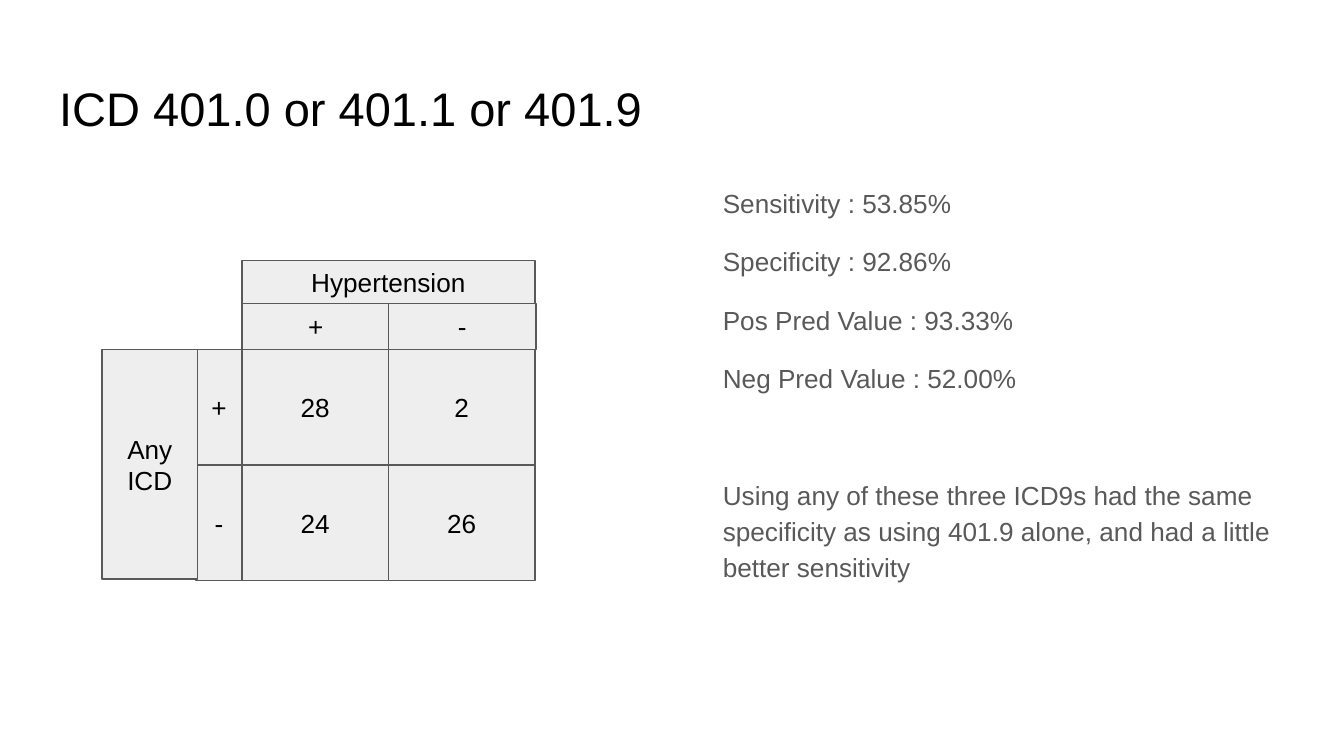
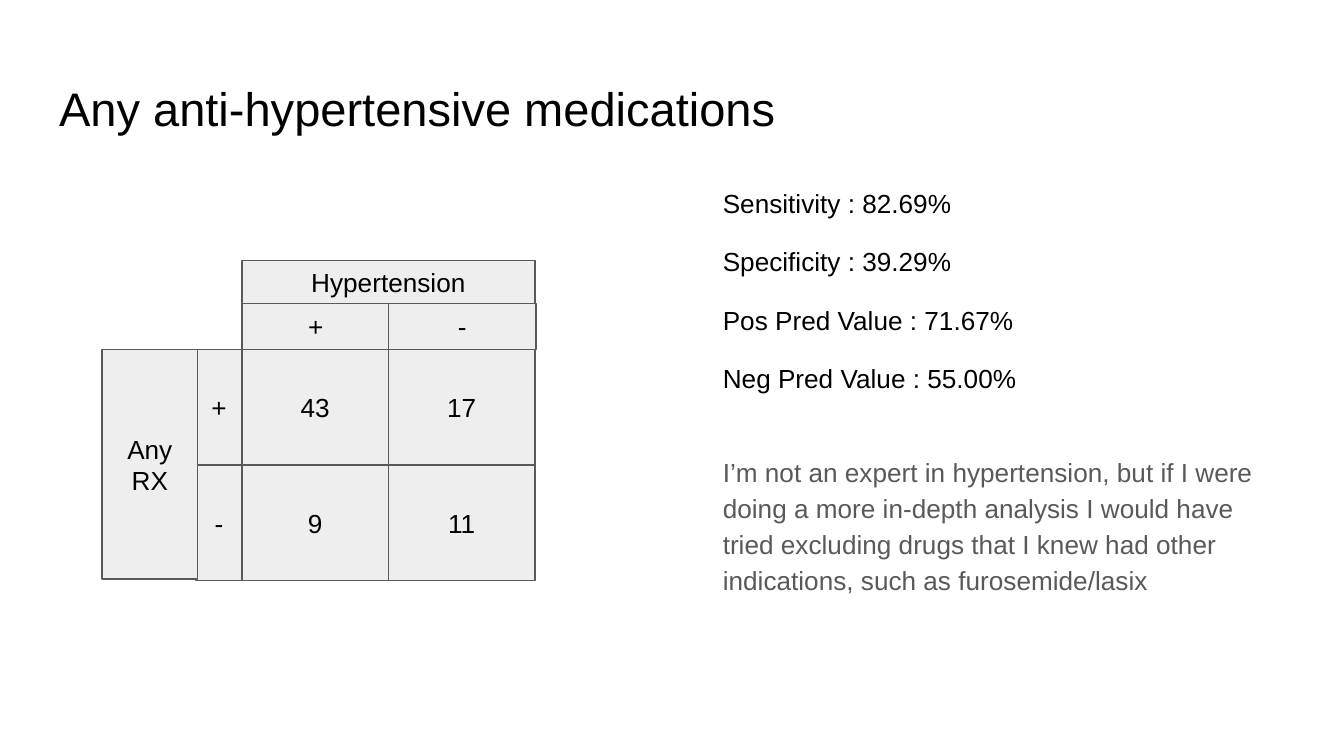
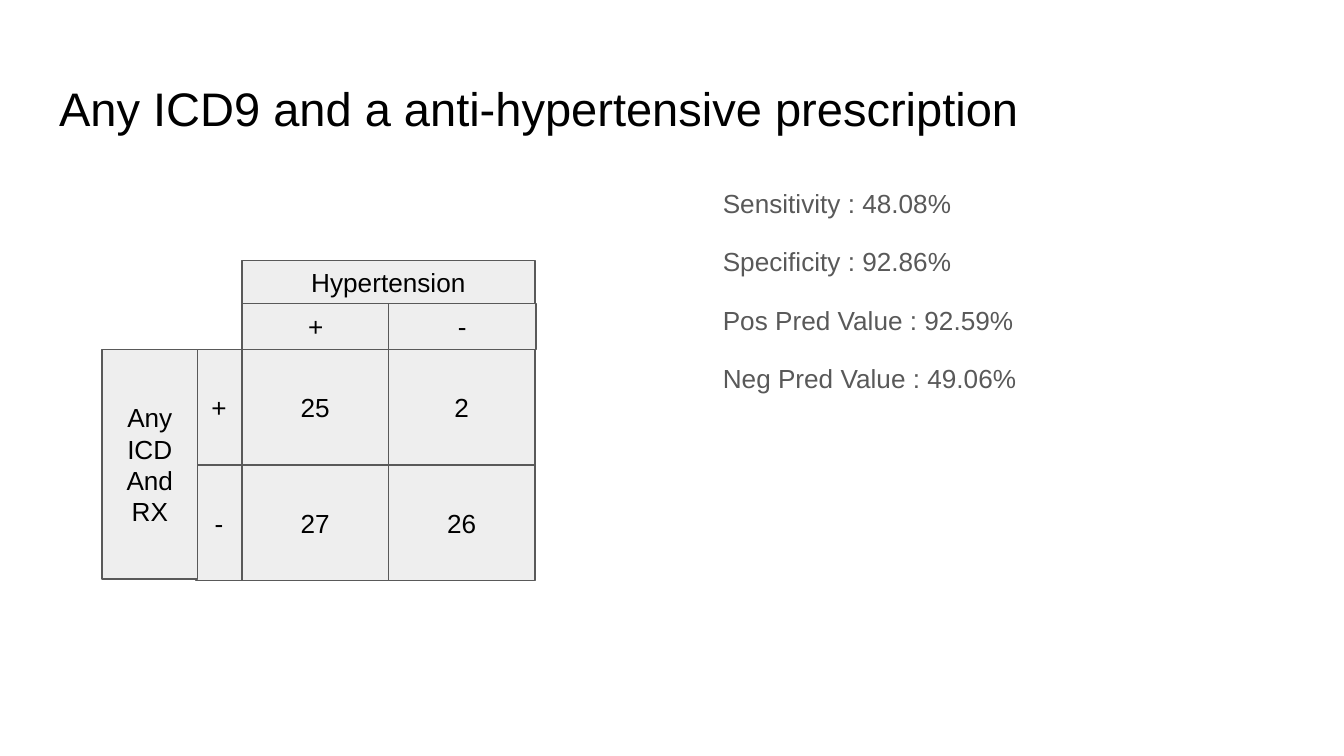
"""Build three slides that rate tests for hypertension with two-by-two grids."""
from dataclasses import dataclass

from pptx import Presentation
from pptx.dml import color
from pptx.enum import shapes, text
from pptx.util import Inches, Pt

BLACK = color.RGBColor(0x00, 0x00, 0x00)
GREY = color.RGBColor(0x59, 0x59, 0x59)
PALE = color.RGBColor(0xEE, 0xEE, 0xEE)
FONT = "Arial"
LEFT, TOP = 1.8, 2.6
WIDE, HIGH = 1.09, 0.86
SIGNS = ("+", "-")


@dataclass(frozen=True)
class Box:
    """Hold a place and size in inches."""
    left: float
    top: float
    width: float
    height: float

    def spans(self) -> tuple:
        """Return the four lengths for python-pptx."""
        return tuple(map(Inches, (self.left, self.top, self.width, self.height)))


@dataclass(frozen=True)
class Test:
    """Hold one slide's title, row label, counts and note."""
    title: str
    label: tuple[str, ...]
    counts: tuple[tuple[int, int], tuple[int, int]]
    tone: color.RGBColor = GREY
    note: str = ""
    gap: float = 0

    def rates(self) -> dict[str, float]:
        """Work out the four rates from the counts."""
        (hit, false), (miss, clear) = self.counts
        return {
            "Sensitivity": hit / (hit + miss),
            "Specificity": clear / (clear + false),
            "Pos Pred Value": hit / (hit + false),
            "Neg Pred Value": clear / (clear + miss),
        }


TITLE = Box(0.34, 0.49, 9.32, 0.63)
BODY = Box(5.28, 1.26, 4.37, 3.74)
TESTS = (
    Test("ICD 401.0 or 401.1 or 401.9", ("Any ICD",), ((28, 2), (24, 26)),
         note="Using any of these three ICD9s had the same specificity as "
              "using 401.9 alone, and had a little better sensitivity", gap=43.25),
    Test("Any anti-hypertensive medications", ("Any RX",), ((43, 17), (9, 11)), BLACK,
         note="I’m not an expert in hypertension, but if I were doing a more "
              "in-depth analysis I would have tried excluding drugs that I knew "
              "had other indications, such as furosemide/lasix", gap=31),
    Test("Any ICD9 and a anti-hypertensive prescription",
         ("Any", "ICD", "And", "RX"), ((25, 2), (27, 26))),
)


def write(frame, words: str, *, size: float = 14, tone=BLACK,
          align=text.PP_ALIGN.LEFT, lead: float = 1, before: float = 0) -> None:
    """Add a paragraph, using the first one while the frame is empty."""
    para = frame.paragraphs[0] if not frame.text else frame.add_paragraph()
    para.alignment = align
    para.line_spacing = lead
    para.space_before = Pt(before)
    run = para.add_run()
    run.text = words
    run.font.name = FONT
    run.font.size = Pt(size)
    run.font.color.rgb = tone


def setup(frame, anchor=text.MSO_ANCHOR.TOP):
    """Set the wrap, margins and anchor of a text frame."""
    frame.word_wrap = True
    frame.auto_size = text.MSO_AUTO_SIZE.NONE
    frame.vertical_anchor = anchor
    frame.margin_left = frame.margin_right = Inches(0.1)
    frame.margin_top = frame.margin_bottom = Inches(0.1)
    return frame


def draw_cell(slide, box: Box, *lines: str) -> None:
    """Draw one grid cell with centred lines."""
    cell = slide.shapes.add_shape(shapes.MSO_SHAPE.RECTANGLE, *box.spans())
    cell.shadow.inherit = False
    cell.fill.solid()
    cell.fill.fore_color.rgb = PALE
    cell.line.color.rgb = GREY
    cell.line.width = Pt(0.75)
    frame = setup(cell.text_frame, text.MSO_ANCHOR.MIDDLE)
    for line in lines:
        write(frame, line, align=text.PP_ALIGN.CENTER)


def draw_grid(slide, test: Test) -> None:
    """Draw the counts with their row and column heads."""
    for row, pair in enumerate(test.counts):
        for col, count in enumerate(pair):
            place = Box(LEFT + col * WIDE, TOP + row * HIGH, WIDE, HIGH)
            draw_cell(slide, place, str(count))
    draw_cell(slide, Box(LEFT, 1.94, 2 * WIDE, 0.32), "Hypertension")
    for num, sign in enumerate(SIGNS):
        draw_cell(slide, Box(LEFT + num * WIDE, 2.26, 1.1, 0.34), sign)
    for num, sign in enumerate(SIGNS):
        draw_cell(slide, Box(1.46, TOP + num * HIGH, 0.34, HIGH), sign)
    draw_cell(slide, Box(0.76, TOP, 0.71, 1.71), *test.label)


def draw_title(slide, words: str) -> None:
    """Place and fill the title."""
    title = slide.shapes.title
    title.left, title.top, title.width, title.height = TITLE.spans()
    write(setup(title.text_frame), words, size=25.2)


def draw_body(slide, test: Test) -> None:
    """List the rates, then the note if there is one."""
    frame = setup(slide.shapes.add_textbox(*BODY.spans()).text_frame)
    for num, (name, rate) in enumerate(test.rates().items()):
        write(frame, f"{name} : {rate:.2%}", tone=test.tone, lead=1.15,
              before=12 if num else 0)
    if test.note:
        write(frame, test.note, tone=GREY, lead=1.15, before=test.gap)


def main() -> None:
    """Build and save the deck."""
    deck = Presentation()
    deck.slide_width = Inches(10)
    deck.slide_height = Inches(10) * 9 // 16
    for test in TESTS:
        slide = deck.slides.add_slide(deck.slide_layouts[5])
        draw_title(slide, test.title)
        draw_body(slide, test)
        draw_grid(slide, test)
    deck.save("out.pptx")


main()
